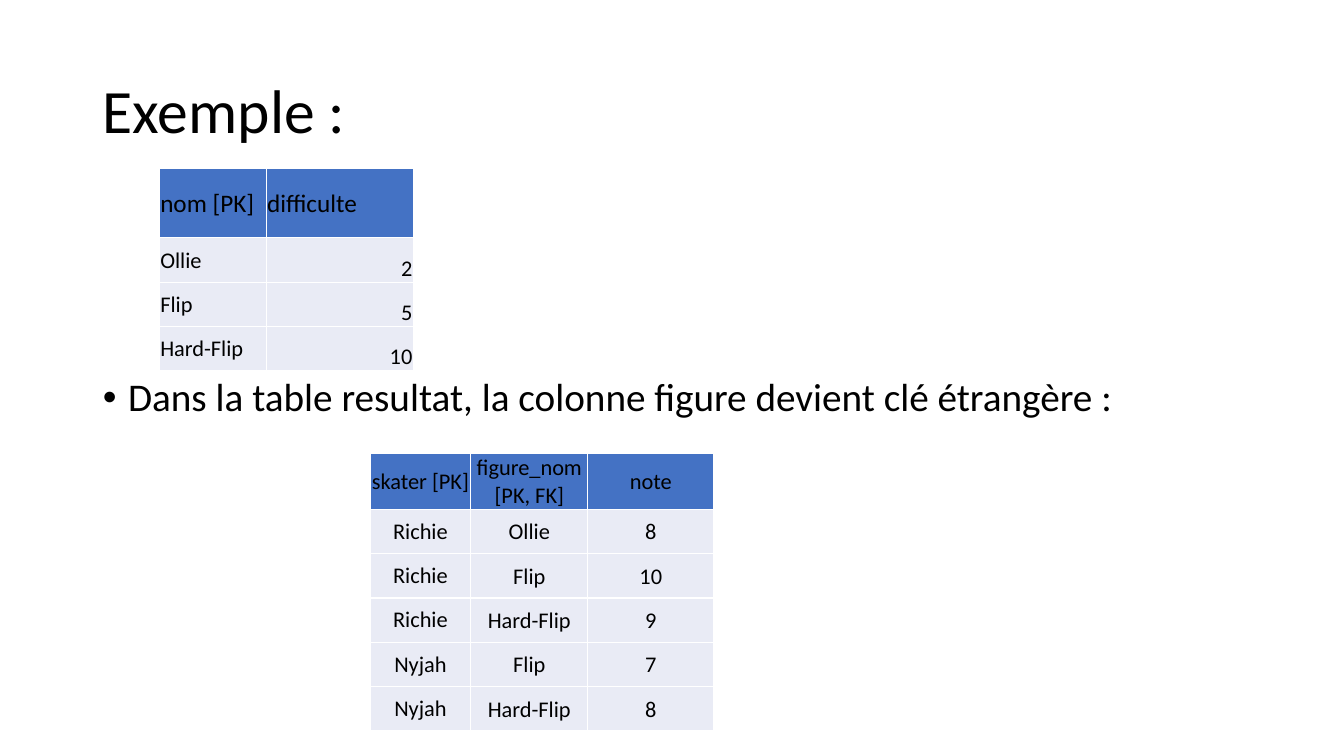
from dataclasses import dataclass

from lxml import etree
from pptx import Presentation
from pptx.dml.color import RGBColor
from pptx.enum.text import MSO_ANCHOR, MSO_AUTO_SIZE, PP_ALIGN
from pptx.oxml.ns import qn
from pptx.util import Inches, Pt

BLACK = RGBColor(0x00, 0x00, 0x00)
WHITE = RGBColor(0xFF, 0xFF, 0xFF)
HEADER_BLUE = RGBColor(0x44, 0x72, 0xC4)
ROW_GREY = RGBColor(0xE9, 0xEB, 0xF5)
FONT = "Calibri"

LEFT, CENTER, RIGHT = PP_ALIGN.LEFT, PP_ALIGN.CENTER, PP_ALIGN.RIGHT
TOP, MIDDLE, BOTTOM = MSO_ANCHOR.TOP, MSO_ANCHOR.MIDDLE, MSO_ANCHOR.BOTTOM
NO_AUTOFIT = MSO_AUTO_SIZE.NONE

ROW_HEIGHT = 0.44
SIDE_INSET = 0.01
KEY_INSET = 0.08


@dataclass(frozen=True)
class Relation:
    left: float
    top: float
    widths: tuple[float, ...]
    header_height: float
    header_size: int
    header_align: PP_ALIGN
    row_anchor: MSO_ANCHOR
    aligns: tuple[PP_ALIGN, ...]
    rows: tuple[tuple[str, ...], ...]


FIGURE = Relation(
    1.58, 1.67, (1.06, 1.46), 0.69, 18, LEFT, BOTTOM, (LEFT, RIGHT),
    (
        ("nom [PK]", "difficulte"),
        ("Ollie", "2"),
        ("Flip", "5"),
        ("Hard-Flip", "10"),
    ),
)
RESULTAT = Relation(
    3.67, 4.5, (1, 1.16, 1.25), 0.55, 16, CENTER, MIDDLE, (CENTER,) * 3,
    (
        ("skater [PK]", "figure_nom [PK, FK]", "note"),
        ("Richie", "Ollie", "8"),
        ("Richie", "Flip", "10"),
        ("Richie", "Hard-Flip", "9"),
        ("Nyjah", "Flip", "7"),
        ("Nyjah", "Hard-Flip", "8"),
    ),
)


def format_paragraph(paragraph, size: int, align: PP_ALIGN) -> None:
    paragraph.alignment = align
    for run in paragraph.runs:
        run.font.name = FONT
        run.font.size = Pt(size)
        run.font.color.rgb = BLACK


def add_white_borders(cell) -> None:
    properties = cell._tc.get_or_add_tcPr()
    for position, side in enumerate(("lnL", "lnR", "lnT", "lnB")):
        line = etree.Element(qn(f"a:{side}"), w=str(Pt(1)))
        fill = etree.SubElement(line, qn("a:solidFill"))
        etree.SubElement(fill, qn("a:srgbClr"), val=str(WHITE))
        properties.insert(position, line)


def add_relation(slide, relation: Relation) -> None:
    heights = [relation.header_height] + [ROW_HEIGHT] * (len(relation.rows) - 1)
    table = slide.shapes.add_table(
        len(heights), len(relation.widths),
        Inches(relation.left), Inches(relation.top),
        Inches(sum(relation.widths)), Inches(sum(heights)),
    ).table
    for column, width in zip(table.columns, relation.widths):
        column.width = Inches(width)
    for r, (values, height) in enumerate(zip(relation.rows, heights)):
        table.rows[r].height = Inches(height)
        is_header = r == 0
        for c, value in enumerate(values):
            is_key = c == 0 and not is_header
            cell = table.cell(r, c)
            cell.margin_left = cell.margin_right = Inches(SIDE_INSET)
            cell.margin_top = Inches(KEY_INSET if is_key else SIDE_INSET)
            cell.margin_bottom = Inches(KEY_INSET if is_key else 0)
            cell.vertical_anchor = MIDDLE if is_header else relation.row_anchor
            cell.fill.solid()
            cell.fill.fore_color.rgb = HEADER_BLUE if is_header else ROW_GREY
            add_white_borders(cell)
            cell.text_frame.text = value
            paragraph = cell.text_frame.paragraphs[0]
            if is_header:
                format_paragraph(paragraph, relation.header_size, relation.header_align)
                paragraph.runs[0].font.bold = False
            else:
                format_paragraph(paragraph, 16, relation.aligns[c])


def fill_placeholder(placeholder, text: str, top: float, height: float,
                     size: int, anchor: MSO_ANCHOR):
    placeholder.left, placeholder.top = Inches(0.92), Inches(top)
    placeholder.width, placeholder.height = Inches(11.5), Inches(height)
    frame = placeholder.text_frame
    frame.text = text
    frame.word_wrap = True
    frame.auto_size = NO_AUTOFIT
    frame.vertical_anchor = anchor
    paragraph = frame.paragraphs[0]
    paragraph.line_spacing = 0.9
    paragraph.space_before = Pt(0)
    format_paragraph(paragraph, size, LEFT)
    return paragraph


def add_bullet(paragraph) -> None:
    properties = paragraph._p.get_or_add_pPr()
    properties.set("marL", str(Inches(0.25)))
    properties.set("indent", str(-Inches(0.25)))
    etree.SubElement(properties, qn("a:buFont"), typeface="Arial")
    etree.SubElement(properties, qn("a:buChar"), char="•")


def main() -> None:
    presentation = Presentation()
    presentation.slide_width = Inches(13.33)
    presentation.slide_height = Inches(7.5)
    slide = presentation.slides.add_slide(presentation.slide_layouts[1])

    fill_placeholder(slide.shapes.title, "Exemple :", 0.4, 1.45, 44, MIDDLE)
    foreign_key_note = fill_placeholder(
        slide.placeholders[1],
        "Dans la table resultat, la colonne figure devient clé étrangère :",
        3.7, 3.06, 28, TOP,
    )
    add_bullet(foreign_key_note)

    for relation in (FIGURE, RESULTAT):
        add_relation(slide, relation)
    presentation.save("out.pptx")


if __name__ == "__main__":
    main()
